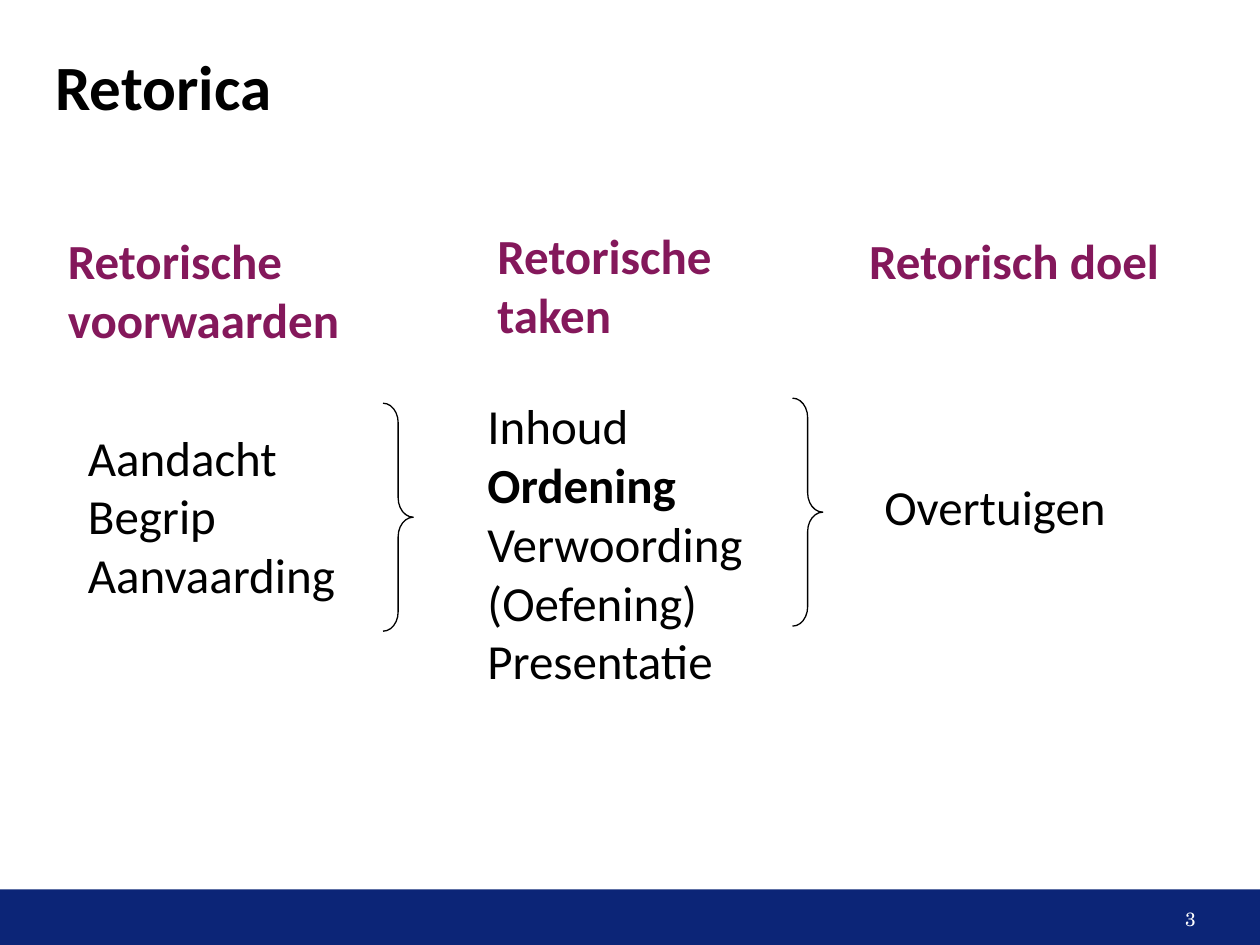
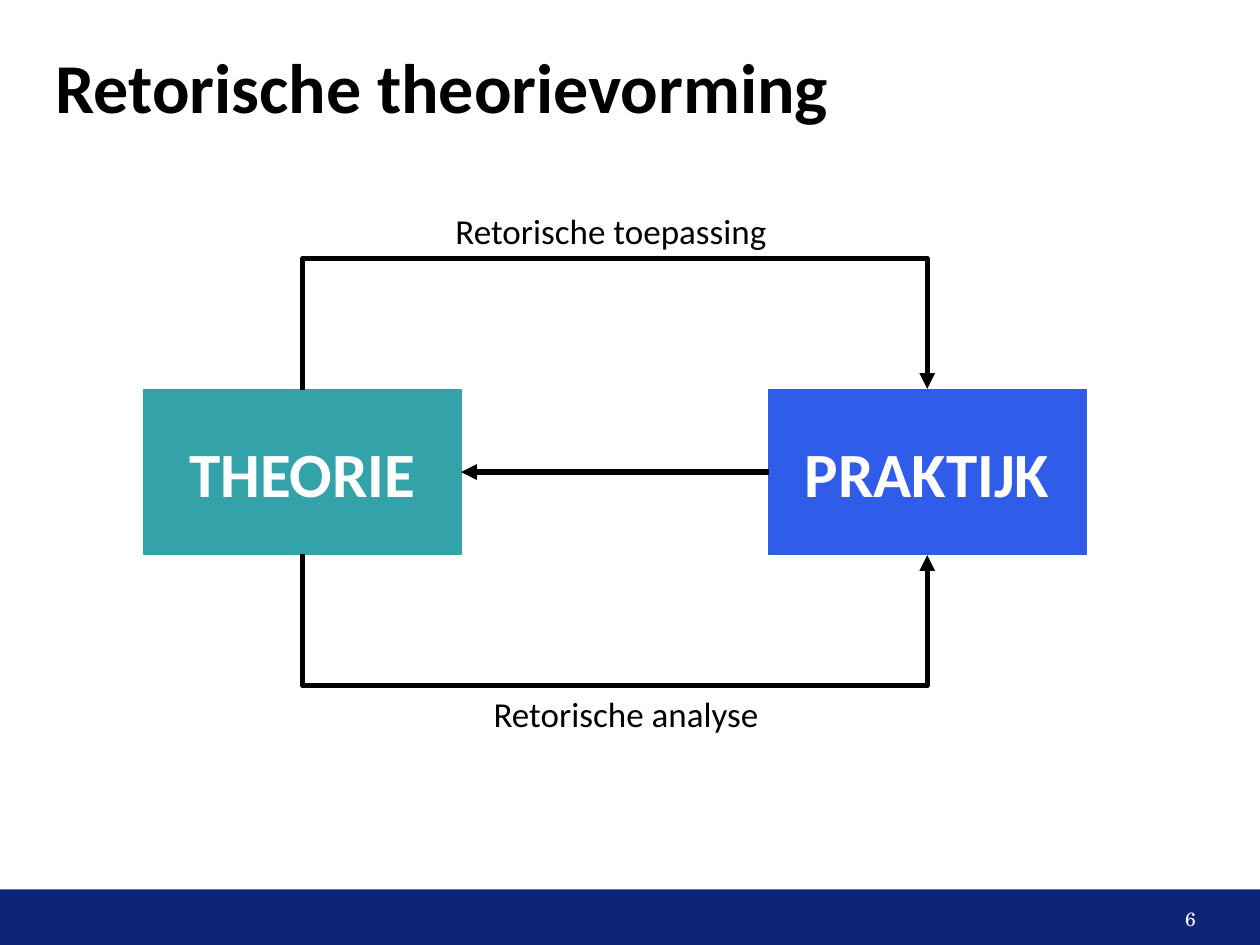
from collections import namedtuple
from dataclasses import dataclass

from lxml.etree import SubElement
from pptx import Presentation
from pptx.dml.color import RGBColor as RGB
from pptx.enum.shapes import MSO_CONNECTOR as CONN, MSO_SHAPE as SHAPE
from pptx.enum.text import MSO_ANCHOR as ANCHOR, PP_ALIGN as ALIGN
from pptx.oxml.ns import qn
from pptx.util import Pt

Box = namedtuple("Box", "x y w h")
Column = namedtuple("Column", "head head_box items items_box")


@dataclass(frozen=True)
class Theme:
    font: str = "Calibri"
    number_font: str = "TeX Gyre Schola"
    ink: RGB = RGB(0, 0, 0)
    white: RGB = RGB(255, 255, 255)
    band: RGB = RGB(0x0C, 0x25, 0x77)
    heading: RGB = RGB(0x84, 0x18, 0x5B)
    theory: RGB = RGB(0x34, 0xA3, 0xA9)
    practice: RGB = RGB(0x30, 0x5C, 0xEA)
    title_size: int = 36
    long_title_size: int = 40
    body_size: int = 28
    block_size: int = 36
    label_size: int = 20
    number_size: int = 11
    thin: float = 0.75
    thick: float = 3


T = Theme()
TOP, LEFT, BOTTOM, RIGHT = range(4)
BODY = Box(31.68, 115.2, 656, 330)


def inside(box, x, y, w, h):
    return Box(box.x + x, box.y + y, w, h)


def pts(box):
    return [Pt(v) for v in box]


def write(sp, lines, size, color=T.ink, bold=False, font=T.font,
          align=ALIGN.LEFT, anchor=ANCHOR.TOP, margins=(7.2, 3.6), strong=()):
    tf = sp.text_frame
    tf.word_wrap = True
    tf.vertical_anchor = anchor
    tf.margin_left = tf.margin_right = Pt(margins[0])
    tf.margin_top = tf.margin_bottom = Pt(margins[1])
    for i, line in enumerate(lines):
        p = tf.add_paragraph() if i else tf.paragraphs[0]
        p.alignment = align
        r = p.add_run()
        r.text = line
        r.font.name = font
        r.font.size = Pt(size)
        r.font.bold = bold or line in strong
        r.font.color.rgb = color


def add_text(s, box, lines, size, **style):
    write(s.shapes.add_textbox(*pts(box)), lines, size, **style)


def add_block(s, box, color, outlined=True):
    sp = s.shapes.add_shape(SHAPE.RECTANGLE, *pts(box))
    sp.shadow.inherit = False
    sp.fill.solid()
    sp.fill.fore_color.rgb = color
    if outlined:
        sp.line.color.rgb = color
        sp.line.width = Pt(T.thin)
    else:
        sp.line.fill.background()
    return sp


def add_brace(s, box):
    sp = s.shapes.add_shape(SHAPE.RIGHT_BRACE, *pts(box))
    sp.shadow.inherit = False
    sp.adjustments[0] = 0.64
    sp.fill.background()
    sp.line.color.rgb = T.ink
    sp.line.width = Pt(T.thin)


def add_arrow(s, kind, start, start_side, end, end_side):
    cx = s.shapes.add_connector(kind, 0, 0, 0, 0)
    cx.begin_connect(start, start_side)
    cx.end_connect(end, end_side)
    cx.line.color.rgb = T.ink
    cx.line.width = Pt(T.thick)
    SubElement(cx.line._get_or_add_ln(), qn("a:tailEnd"), type="triangle")
    SubElement(cx._element.spPr, qn("a:effectLst"))
    return cx


def add_loop(s, start, end, side, reach):
    cx = add_arrow(s, CONN.ELBOW, start, side, end, side)
    thickness = Pt(0.5)
    x1, x2 = (sp.left + sp.width // 2 for sp in (start, end))
    y = start.top + (start.height if side == BOTTOM else 0)
    cx.width, cx.height = thickness, x2 - x1
    cx.left = (x1 + x2 - thickness) // 2
    cx.top = y - (x2 - x1) // 2
    xfrm = cx._element.spPr.find(qn("a:xfrm"))
    xfrm.set("rot", str((90 if side == TOP else 270) * 60000))
    xfrm.set("flipH", "1")
    xfrm.set("flipV", "1" if side == TOP else "0")
    geom = cx._element.spPr.find(qn("a:prstGeom"))
    av = geom.find(qn("a:avLst"))
    if av is None:
        av = SubElement(geom, qn("a:avLst"))
    ratio = round(Pt(reach) / thickness * 100000)
    SubElement(av, qn("a:gd"), name="adj1", fmla=f"val {ratio}")


def add_frame(prs, title, size, number):
    s = prs.slides.add_slide(prs.slide_layouts[6])
    add_block(s, Box(0, 508.3, 720, 31.7), T.band, outlined=False)
    add_text(s, Box(526.3, 508.3, 162, 33.1), [number], T.number_size,
             color=T.white, font=T.number_font, align=ALIGN.RIGHT,
             anchor=ANCHOR.MIDDLE, margins=(5, 2.9))
    add_text(s, Box(31.68, 31.68, 656, 33.84), [title], size, bold=True,
             anchor=ANCHOR.MIDDLE, margins=(0, 0))
    return s


def add_columns(s, box):
    columns = [
        Column(["Retorische", "voorwaarden"], (0, 13, 176, 75),
               ["Aandacht", "Begrip", "Aanvaarding"], (11.5, 125.3, 162, 110)),
        Column(["Retorische", "taken"], (245.5, 10.1, 166, 75),
               ["Inhoud", "Ordening", "Verwoording", "(Oefening)", "Presentatie"],
               (239.8, 107.3, 166, 178)),
        Column(["Retorisch doel"], (457.9, 13, 187, 41),
               ["Overtuigen"], (466.6, 153.4, 164, 41)),
    ]
    for c in columns:
        add_text(s, inside(box, *c.head_box), c.head, T.body_size,
                 color=T.heading, bold=True)
        add_text(s, inside(box, *c.items_box), c.items, T.body_size,
                 strong=("Ordening",))
    for x, y in ((187.2, 115.2), (421.2, 112.3)):
        add_brace(s, inside(box, x, y, 17.3, 130.3))


def add_cycle(s, box):
    blocks = []
    for name, x, color in (("THEORIE", 50.4, T.theory),
                           ("PRAKTIJK", 407.5, T.practice)):
        sp = add_block(s, inside(box, x, 107.3, 181.4, 94.5), color)
        write(sp, [name], T.block_size, color=T.white, bold=True,
              align=ALIGN.CENTER, anchor=ANCHOR.MIDDLE)
        blocks.append(sp)
    theory, practice = blocks
    for side in (TOP, BOTTOM):
        add_loop(s, theory, practice, side, 73.4)
    add_arrow(s, CONN.STRAIGHT, practice, LEFT, theory, RIGHT)
    for label, x, y in (("Retorische toepassing ", 183.6, 0.7),
                        ("Retorische analyse ", 192.2, 277.2)):
        add_text(s, inside(box, x, y, 272.2, 31.7), [label], T.label_size,
                 align=ALIGN.CENTER)


def main():
    prs = Presentation()
    prs.slide_width, prs.slide_height = Pt(720), Pt(540)
    add_columns(add_frame(prs, "Retorica", T.title_size, "3"), BODY)
    add_cycle(add_frame(prs, "Retorische theorievorming", T.long_title_size, "6"), BODY)
    prs.save("out.pptx")


if __name__ == "__main__":
    main()
